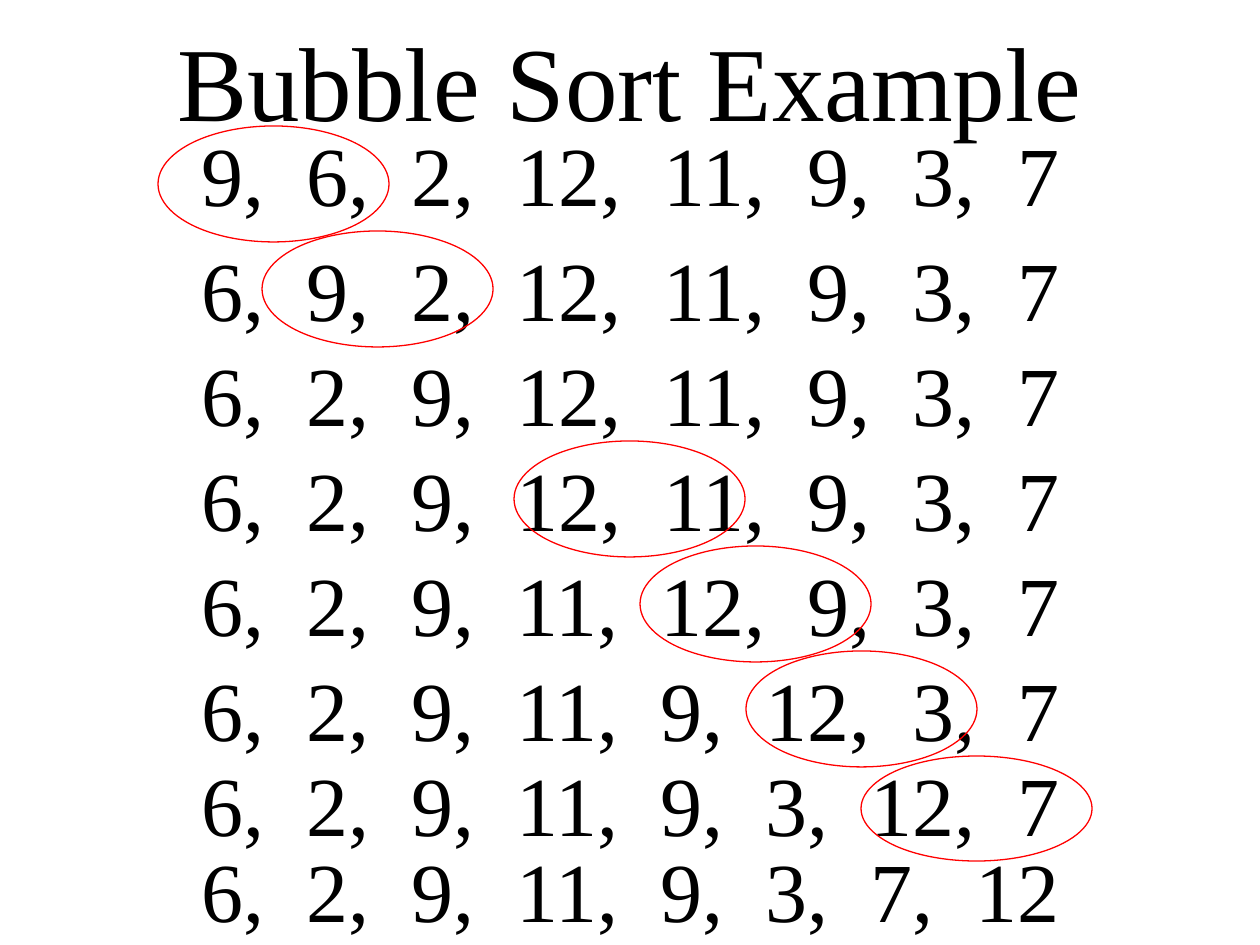
from dataclasses import dataclass

from pptx import Presentation
from pptx.dml.color import RGBColor
from pptx.enum.shapes import MSO_SHAPE
from pptx.enum.text import MSO_ANCHOR, PP_ALIGN
from pptx.util import Emu, Pt

OVAL = MSO_SHAPE.OVAL
TOP, MIDDLE = MSO_ANCHOR.TOP, MSO_ANCHOR.MIDDLE
LEFT, CENTER = PP_ALIGN.LEFT, PP_ALIGN.CENTER
EMU_PER_PX = 914400 / 126
BLANK_LAYOUT = 6


@dataclass(frozen=True)
class Theme:
    font: str = "Times New Roman"
    text: RGBColor = RGBColor(0, 0, 0)
    highlight: RGBColor = RGBColor(255, 0, 0)
    title_size: Pt = Pt(60)
    row_size: Pt = Pt(48)
    line_width: Pt = Pt(0.75)


THEME = Theme()
ROW_LEFT, ROW_WIDTH, ROW_HEIGHT = 189, 924, 113
OVAL_WIDTH = 231

# Row top and the numbers after each comparison
ROWS = [
    (116, (9, 6, 2, 12, 11, 9, 3, 7)),
    (231, (6, 9, 2, 12, 11, 9, 3, 7)),
    (336, (6, 2, 9, 12, 11, 9, 3, 7)),
    (441, (6, 2, 9, 12, 11, 9, 3, 7)),
    (546, (6, 2, 9, 11, 12, 9, 3, 7)),
    (651, (6, 2, 9, 11, 9, 12, 3, 7)),
    (746, (6, 2, 9, 11, 9, 3, 12, 7)),
    (832, (6, 2, 9, 11, 9, 3, 7, 12)),
]
# Left, top and height of the oval around each pair to swap, by row index
SWAPS = {
    0: (158, 126, 116),
    1: (262, 231, 116),
    3: (514, 441, 116),
    4: (640, 546, 116),
    5: (746, 651, 116),
    6: (861, 756, 105),
}


def px(length):
    return Emu(round(length * EMU_PER_PX))


def add_text(slide, box, text, size, alignment=LEFT, anchor=TOP):
    shape = slide.shapes.add_textbox(*map(px, box))
    frame = shape.text_frame
    frame.word_wrap = True
    frame.vertical_anchor = anchor
    paragraph = frame.paragraphs[0]
    paragraph.text = text
    paragraph.alignment = alignment
    paragraph.font.name = THEME.font
    paragraph.font.size = size
    paragraph.font.color.rgb = THEME.text


def add_swap_oval(slide, left, top, height):
    shape = slide.shapes.add_shape(OVAL, px(left), px(top), px(OVAL_WIDTH), px(height))
    shape.shadow.inherit = False
    shape.fill.background()
    shape.line.color.rgb = THEME.highlight
    shape.line.width = THEME.line_width


def main():
    presentation = Presentation()
    presentation.slide_width, presentation.slide_height = px(1260), px(945)
    slide = presentation.slides.add_slide(presentation.slide_layouts[BLANK_LAYOUT])

    add_text(slide, (94, 0, 1071, 158), "Bubble Sort Example",
             THEME.title_size, CENTER, MIDDLE)
    for index, (top, numbers) in enumerate(ROWS):
        add_text(slide, (ROW_LEFT, top, ROW_WIDTH, ROW_HEIGHT),
                 ",  ".join(map(str, numbers)), THEME.row_size)
        if index in SWAPS:
            add_swap_oval(slide, *SWAPS[index])

    presentation.save("out.pptx")


if __name__ == "__main__":
    main()
